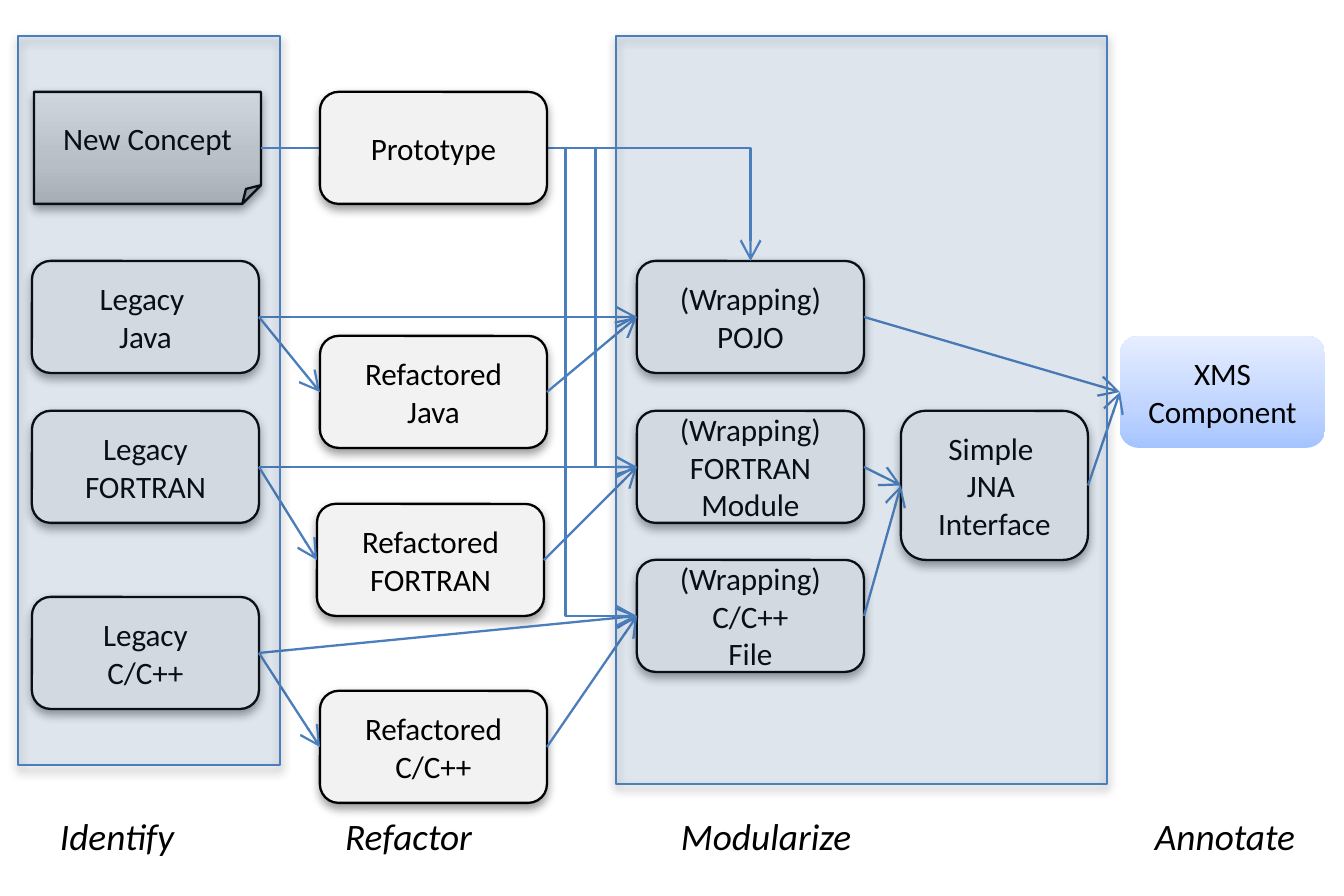
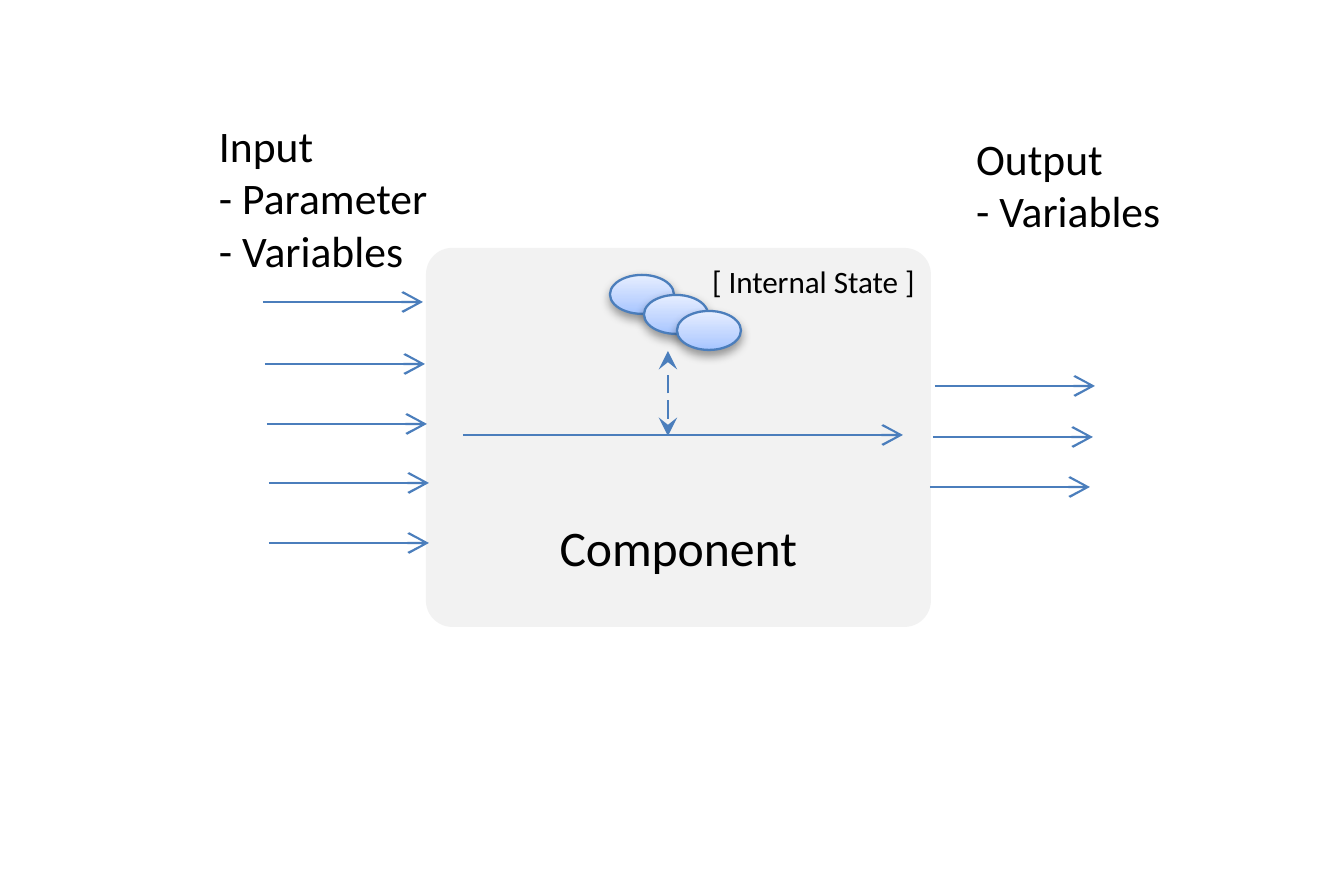
from copy import deepcopy

from pptx import Presentation
from pptx import util as u
from pptx.dml.color import RGBColor
from pptx.enum import dml, shapes, text
from pptx.oxml.ns import qn
from pptx.oxml.xmlchemy import OxmlElement

# Shared look
PX = 914400 / 224
FONT = "Calibri"
BLACK = RGBColor(0x00, 0x00, 0x00)
LIGHT_GREY = RGBColor(0xF2, 0xF2, 0xF2)
LINE_BLUE = RGBColor(0x4B, 0x7E, 0xBC)
PANEL_BLUE = RGBColor(0x4F, 0x81, 0xBD)
BLUE_GRADIENT = (RGBColor(0xA4, 0xC4, 0xFF), RGBColor(0xBF, 0xD4, 0xFF), RGBColor(0xE6, 0xEE, 0xFF))
GREY_GRADIENT = (RGBColor(0xBD, 0xBD, 0xBD), RGBColor(0xD1, 0xD1, 0xD1), RGBColor(0xEE, 0xEE, 0xEE))
LINE_WIDTH = u.Pt(0.75)

RECTANGLE = shapes.MSO_SHAPE.RECTANGLE
ROUNDED = shapes.MSO_SHAPE.ROUNDED_RECTANGLE
FOLDED = shapes.MSO_SHAPE.FOLDED_CORNER
OVAL = shapes.MSO_SHAPE.OVAL
STRAIGHT = shapes.MSO_CONNECTOR.STRAIGHT
ELBOW = shapes.MSO_CONNECTOR.ELBOW
CENTER = text.PP_ALIGN.CENTER
TOP, LEFT, RIGHT = 0, 1, 3  # connection sites

NODE_SIZE = (227, 112)


def px(*lengths):
    return [u.Emu(round(length * PX)) for length in lengths]


def add_element(parent, tag, **attributes):
    element = OxmlElement(tag)
    for name, value in attributes.items():
        element.set(name, str(value))
    parent.append(element)
    return element


# Text
def write(frame, lines, size, align=None, italic=None):
    for index, line in enumerate(lines):
        paragraph = frame.paragraphs[0] if index == 0 else frame.add_paragraph()
        paragraph.alignment = align
        run = paragraph.add_run()
        run.text = line
        run.font.name = FONT
        run.font.size = u.Pt(size)
        run.font.italic = italic
        run.font.color.rgb = BLACK


def add_label(slide, box, lines, size, italic=None, wrap=False):
    frame = slide.shapes.add_textbox(*px(*box)).text_frame
    frame.word_wrap = wrap
    frame.auto_size = text.MSO_AUTO_SIZE.SHAPE_TO_FIT_TEXT
    write(frame, lines, size, italic=italic)


# Shapes
def paint(shape, fill):
    if isinstance(fill, RGBColor):
        shape.fill.solid()
        shape.fill.fore_color.rgb = fill
        return
    shape.fill.gradient()
    shape.fill.gradient_angle = 90
    stops = shape._element.spPr.find(".//" + qn("a:gsLst"))
    stops.insert(1, deepcopy(stops[0]))
    for stop, colour, position in zip(shape.fill.gradient_stops, fill, (0, 0.35, 1)):
        stop.color.rgb = colour
        stop.position = position


def add_box(slide, kind, box, fill, line=None, shadow=True):
    shape = slide.shapes.add_shape(kind, *px(*box))
    paint(shape, fill)
    if line is None:
        shape.line.fill.background()
    else:
        shape.line.color.rgb = line
        shape.line.width = LINE_WIDTH
    shape.shadow.inherit = False
    if shadow:
        effects = shape._element.spPr.find(qn("a:effectLst"))
        outer = add_element(effects, "a:outerShdw", blurRad=39370, dist=20320,
                            dir=5400000, rotWithShape=0)
        colour = add_element(outer, "a:srgbClr", val=BLACK)
        add_element(colour, "a:alpha", val=38000)
    return shape


def add_node(slide, left, top, lines, size=NODE_SIZE, kind=ROUNDED,
             fill=LIGHT_GREY, line=BLACK, shadow=True):
    shape = add_box(slide, kind, (left, top, *size), fill, line, shadow)
    shape.text_frame.vertical_anchor = text.MSO_ANCHOR.MIDDLE
    write(shape.text_frame, lines, 10, CENTER)
    return shape


def add_panel(slide, *box):
    panel = add_box(slide, RECTANGLE, box, PANEL_BLUE, LINE_BLUE)
    colour = panel._element.spPr.find(qn("a:solidFill"))[0]
    add_element(colour, "a:alpha", val=12000)


# Arrows
def add_arrow(slide, start=(0, 0), end=(0, 0), kind=STRAIGHT, head=None,
              tail="arrow", dash=None):
    arrow = slide.shapes.add_connector(kind, *px(*start, *end))
    arrow.line.color.rgb = LINE_BLUE
    arrow.line.width = LINE_WIDTH
    if dash:
        arrow.line.dash_style = dash
    properties = arrow._element.spPr
    outline = properties.find(qn("a:ln"))
    if head:
        add_element(outline, "a:headEnd", type=head)
    add_element(outline, "a:tailEnd", type=tail)
    add_element(properties, "a:effectLst")
    return arrow


def connect(slide, source, target, site=LEFT, kind=STRAIGHT):
    arrow = add_arrow(slide, kind=kind)
    arrow.begin_connect(source, RIGHT)
    arrow.end_connect(target, site)
    return arrow


def connect_bent(slide, source, target, bend=None):
    """Turn at the share `bend` of the width, or once, into the target's top."""
    arrow = connect(slide, source, target, LEFT if bend else TOP, ELBOW)
    geometry = arrow._element.spPr.find(qn("a:prstGeom"))
    if bend:
        add_element(geometry.find(qn("a:avLst")), "a:gd", name="adj1",
                    fmla=f"val {round(bend * 100000)}")
    else:
        geometry.set("prst", "bentConnector2")


# Slides
def build_workflow(slide):
    component = add_node(slide, 1120, 336, ["XMS Component"], (205, 112),
                         fill=BLUE_GRADIENT, line=None, shadow=False)
    concept = add_node(slide, 34, 92, ["New Concept"], kind=FOLDED, fill=GREY_GRADIENT)
    interface = add_node(slide, 901, 411, ["Simple ", "JNA ", "Interface"], (187, 149))

    # One row per language: legacy, refactored and wrapped code
    wrappers = []
    for legacy_top, refactored_at, wrapper_top, legacy_lines, wrapper_lines in (
        (261, (320, 336), 261, ["Legacy ", "Java"], ["(Wrapping) POJO"]),
        (411, (317, 504), 411, ["Legacy", "FORTRAN"], ["(Wrapping)", "FORTRAN", "Module"]),
        (597, (320, 691), 560, ["Legacy", "C/C++"], ["(Wrapping)", "C/C++", "File"]),
    ):
        legacy = add_node(slide, 32, legacy_top, legacy_lines)
        refactored = add_node(slide, *refactored_at, ["Refactored", legacy_lines[1]])
        wrapper = add_node(slide, 637, wrapper_top, wrapper_lines)
        connect(slide, legacy, wrapper)
        connect(slide, legacy, refactored)
        connect(slide, refactored, wrapper)
        wrappers.append(wrapper)

    pojo, module, file = wrappers
    for source, target in ((pojo, component), (module, interface),
                           (file, interface), (interface, component)):
        connect(slide, source, target)

    # Stage panels and names
    add_panel(slide, 18, 36, 262, 729)
    add_panel(slide, 616, 36, 491, 748)
    for left, width, name in ((38, 166, "Identify"), (323, 177, "Refactor"),
                              (659, 224, "Modularize"), (1133, 190, "Annotate")):
        add_label(slide, (left, 802, width, 67), [name], 12, italic=True)

    # Routes from the concept run behind the prototype
    connect_bent(slide, concept, pojo)
    connect_bent(slide, concept, module, 0.89)
    connect_bent(slide, concept, file, 0.81)
    add_node(slide, 320, 92, ["Prototype"])


def build_component(slide):
    body = add_box(slide, ROUNDED, (426, 248, 505, 379), LIGHT_GREY, shadow=False)
    body.adjustments[0] = 0.07
    body.text_frame.vertical_anchor = text.MSO_ANCHOR.BOTTOM
    body.text_frame.margin_bottom = px(43)[0]
    write(body.text_frame, ["Component"], 16, CENTER)

    # Inputs, then outputs
    for left, top in ((263, 302), (265, 364), (267, 424), (269, 483), (269, 543),
                      (935, 386), (933, 437), (930, 487)):
        add_arrow(slide, (left, top), (left + 160, top))
    add_label(slide, (197, 108, 255, 181), ["Input", "- Parameter", "- Variables"], 14)
    add_label(slide, (954, 121, 231, 128), ["Output", "- Variables"], 14)

    # Internal state
    for left, top in ((610, 275), (644, 295), (677, 311)):
        add_box(slide, OVAL, (left, top, 64, 39), BLUE_GRADIENT, LINE_BLUE)
    add_arrow(slide, (463, 435), (903, 435))
    add_arrow(slide, (668, 436), (668, 351), head="stealth", tail="stealth",
              dash=dml.MSO_LINE.LONG_DASH)
    add_label(slide, (690, 251, 253, 98), ["[ Internal State ]"], 10, wrap=True)


def main():
    presentation = Presentation()
    presentation.slide_width, presentation.slide_height = px(1344, 896)
    blank = presentation.slide_layouts[6]
    for build in (build_workflow, build_component):
        build(presentation.slides.add_slide(blank))
    presentation.save("out.pptx")


if __name__ == "__main__":
    main()
